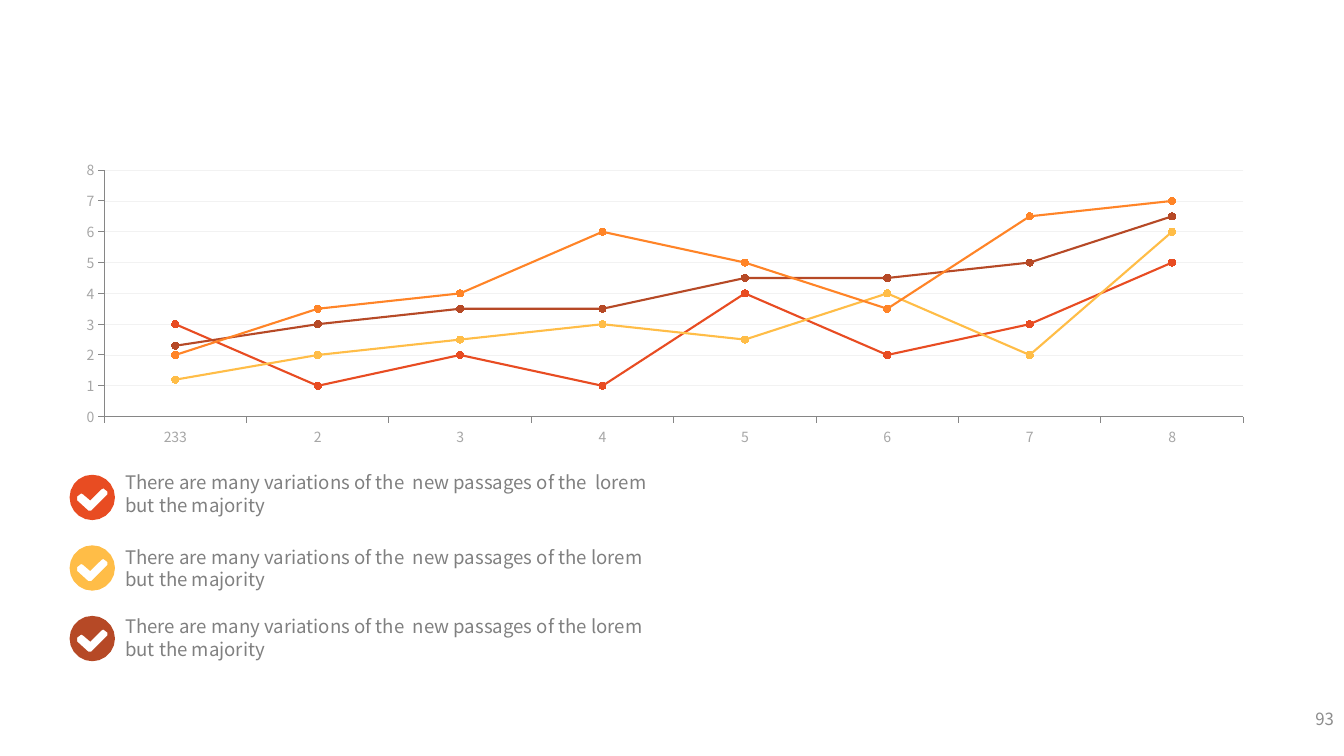
import math

import pptx
import pptx.chart.data
import pptx.dml.color
import pptx.enum.chart
import pptx.enum.text
import pptx.util

Inches = pptx.util.Inches
Pt = pptx.util.Pt
RGBColor = pptx.dml.color.RGBColor

RED = RGBColor(0xE8, 0x4C, 0x22)
YELLOW = RGBColor(0xFF, 0xBD, 0x47)
BROWN = RGBColor(0xB6, 0x49, 0x26)
ORANGE = RGBColor(0xFF, 0x84, 0x27)
TEXT_GRAY = RGBColor(0x80, 0x80, 0x80)
NUMBER_GRAY = RGBColor(0x8C, 0x8C, 0x8C)
LABEL_GRAY = RGBColor(0xA6, 0xA6, 0xA6)
AXIS_GRAY = RGBColor(0x86, 0x86, 0x86)
GRID_GRAY = RGBColor(0xF2, 0xF2, 0xF2)

CIRCLE_POINTS = 20
CHECK = [
    (0.15, -0.06), (0.11, -0.09), (0.09, -0.08), (-0.02, 0.03),
    (-0.09, -0.03), (-0.11, -0.04), (-0.15, -0.01), (-0.15, 0.03),
    (-0.04, 0.13), (-0.01, 0.13), (0.15, -0.03),
]
SERIES = [
    ("Series 1", RED, (3, 1, 2, 1, 4, 2, 3, 5)),
    ("Series 2", YELLOW, (1.2, 2, 2.5, 3, 2.5, 4, 2, 6)),
    ("Series 3", BROWN, (2.3, 3, 3.5, 3.5, 4.5, 4.5, 5, 6.5)),
    ("Series 4", ORANGE, (2, 3.5, 4, 6, 5, 3.5, 6.5, 7)),
]
ITEMS = [
    (4.67, "There are many variations of the  new passages of the  lorem but the majority"),
    (5.41, "There are many variations of the  new passages of the lorem but the majority"),
    (6.1, "There are many variations of the  new passages of the lorem but the majority"),
]


class SlideBuilder:
    font = "Noto Sans CJK SC"

    def __init__(self, s):
        self.s = s

    def style(self, font, size, color):
        font.name = self.font
        font.size = Pt(size)
        font.color.rgb = color

    def text(self, box, text, size, color):
        sp = self.s.shapes.add_textbox(*map(Inches, box))
        tf = sp.text_frame
        tf.word_wrap = True
        p = tf.paragraphs[0]
        p.text = text
        self.style(p.font, size, color)
        return tf

    def item_text(self, top, text):
        tf = self.text((1.24, top, 5.35, 0.45), text, 13.3, TEXT_GRAY)
        tf.margin_left = tf.margin_top = tf.margin_right = tf.margin_bottom = 0
        tf.auto_size = pptx.enum.text.MSO_AUTO_SIZE.SHAPE_TO_FIT_TEXT
        tf.paragraphs[0].line_spacing = Pt(16.2)

    def page_number(self, number):
        tf = self.text((12.66, 6.93, 0.67, 0.4), number, 12, NUMBER_GRAY)
        tf.vertical_anchor = pptx.enum.text.MSO_ANCHOR.MIDDLE
        tf.paragraphs[0].alignment = pptx.enum.text.PP_ALIGN.RIGHT

    def check_icon(self, left, top, size, color):
        radius = size / 2
        angles = [math.tau * n / CIRCLE_POINTS for n in range(CIRCLE_POINTS)]
        circle = [(radius * math.cos(a), radius * math.sin(a)) for a in angles]
        disc, tick = [
            [(Inches(left + radius + x), Inches(top + radius + y)) for x, y in outline]
            for outline in (circle, CHECK)
        ]
        builder = self.s.shapes.build_freeform(*disc[0])
        builder.add_line_segments(disc[1:])
        builder.move_to(*tick[0])
        builder.add_line_segments(tick[1:])
        sp = builder.convert_to_shape()
        sp.shadow.inherit = False
        sp.fill.solid()
        sp.fill.fore_color.rgb = color
        sp.line.fill.background()

    def line_chart(self, box, categories, series):
        data = pptx.chart.data.CategoryChartData()
        data.categories = categories
        for name, _, values in series:
            data.add_series(name, values)
        chart = self.s.shapes.add_chart(
            pptx.enum.chart.XL_CHART_TYPE.LINE_MARKERS, *map(Inches, box), data
        ).chart
        chart.has_title = False
        chart.has_legend = False
        self.style(chart.font, 10, LABEL_GRAY)
        chart.plots[0].vary_by_categories = False
        for ser, (_, color, _) in zip(chart.plots[0].series, series):
            ser.smooth = False
            ser.format.line.color.rgb = color
            ser.format.line.width = Pt(1.5)
            ser.marker.style = pptx.enum.chart.XL_MARKER_STYLE.CIRCLE
            ser.marker.size = 5
            ser.marker.format.fill.solid()
            ser.marker.format.fill.fore_color.rgb = color
            ser.marker.format.line.color.rgb = color
        for axis in (chart.category_axis, chart.value_axis):
            axis.major_tick_mark = pptx.enum.chart.XL_TICK_MARK.OUTSIDE
            axis.minor_tick_mark = pptx.enum.chart.XL_TICK_MARK.NONE
            axis.format.line.color.rgb = AXIS_GRAY
            axis.format.line.width = Pt(0.75)
            self.style(axis.tick_labels.font, 10, LABEL_GRAY)
        labels = chart.category_axis.tick_labels
        labels.number_format = "#\\ ?/?"
        labels.number_format_is_linked = False
        chart.category_axis.tick_label_position = pptx.enum.chart.XL_TICK_LABEL_POSITION.LOW
        axis = chart.value_axis
        axis.minimum_scale = 0
        axis.maximum_scale = 8
        axis.major_unit = 1
        axis.has_major_gridlines = True
        axis.major_gridlines.format.line.color.rgb = GRID_GRAY
        axis.major_gridlines.format.line.width = Pt(0.5)


def main():
    prs = pptx.Presentation()
    prs.slide_width = Inches(13.33)
    prs.slide_height = Inches(7.5)
    slide = SlideBuilder(prs.slides.add_slide(prs.slide_layouts[6]))
    slide.page_number("93")
    for top, text in ITEMS:
        slide.item_text(top, text)
    categories = ["233"] + [str(n) for n in range(2, 9)]
    slide.line_chart((0.62, 1.53, 11.95, 2.96), categories, SERIES)
    for i, color in enumerate((RED, YELLOW, BROWN)):
        slide.check_icon(0.69, 4.71 + 0.7 * i, 0.45, color)
    prs.save("out.pptx")


if __name__ == "__main__":
    main()
